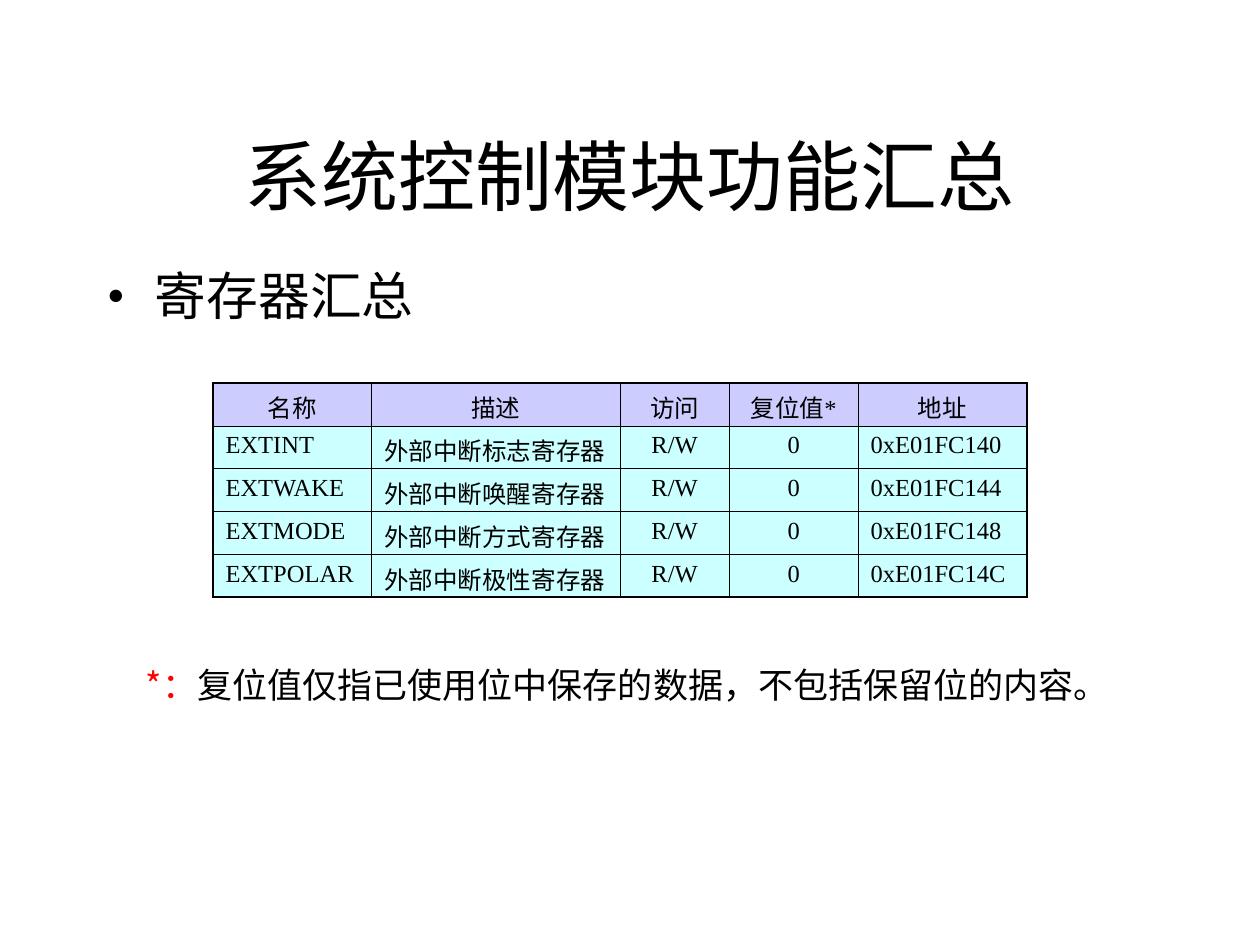
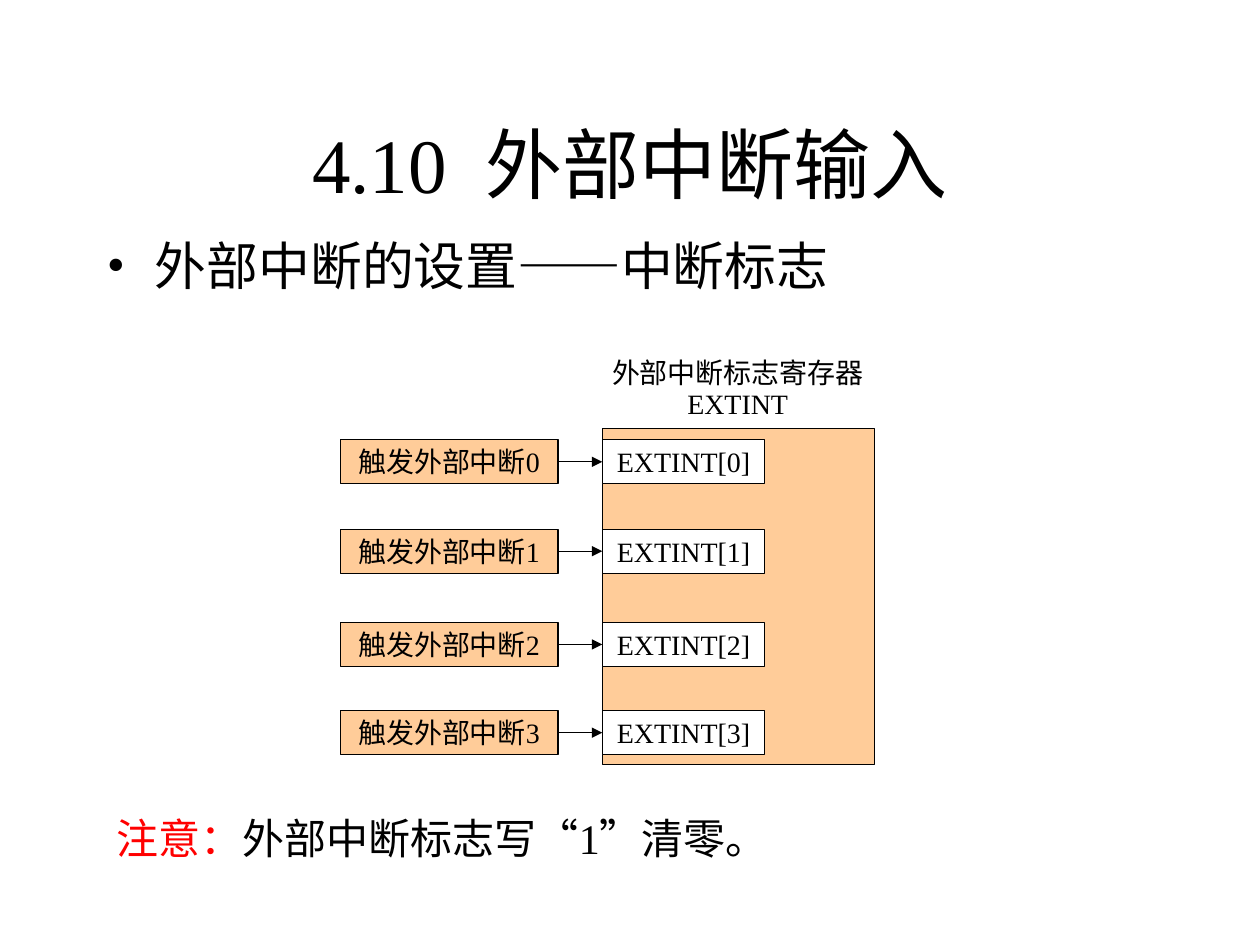
from typing import NamedTuple

from lxml import etree
from pptx import Presentation
from pptx.dml.color import RGBColor
from pptx.enum.shapes import MSO_CONNECTOR, MSO_SHAPE
from pptx.enum.text import MSO_ANCHOR, MSO_AUTO_SIZE, PP_ALIGN
from pptx.oxml.ns import qn
from pptx.util import Pt

LEFT, CENTER = PP_ALIGN.LEFT, PP_ALIGN.CENTER
TOP, MIDDLE = MSO_ANCHOR.TOP, MSO_ANCHOR.MIDDLE
RECT, STRAIGHT = MSO_SHAPE.RECTANGLE, MSO_CONNECTOR.STRAIGHT
LEFT_SIDE, RIGHT_SIDE = 1, 3
TITLE_ONLY = 5

EMU_PER_PX = 9144  # 100 px to the inch
SERIF, CJK = "Times New Roman", "Noto Sans CJK JP"
COLORS = {
    "ink": "000000",
    "alert": "FF0000",
    "paper": "FFFFFF",
    "header": "CCCCFF",
    "body": "CCFFFF",
    "orange": "FFCC99",
}
THIN, THICK, OUTLINE = 0.45, 1.08, 0.75


class Box(NamedTuple):
    left: int
    top: int
    width: int
    height: int


class Run(NamedTuple):
    text: str
    color: str = "ink"
    spacing: int = 0  # extra points after each character


class Column(NamedTuple):
    heading: str
    width: int
    align: PP_ALIGN


COLUMNS = [
    Column("名称", 126, LEFT),
    Column("描述", 197, LEFT),
    Column("访问", 87, CENTER),
    Column("复位值*", 102, CENTER),
    Column("地址", 134, LEFT),
]
REGISTERS = [
    ("EXTINT", "外部中断标志寄存器", "R/W", "0", "0xE01FC140"),
    ("EXTWAKE", "外部中断唤醒寄存器", "R/W", "0", "0xE01FC144"),
    ("EXTMODE", "外部中断方式寄存器", "R/W", "0", "0xE01FC148"),
    ("EXTPOLAR", "外部中断极性寄存器", "R/W", "0", "0xE01FC14C"),
]
ROW_HEIGHT = 34
FLAG_TOPS = [349, 420, 494, 564]


def px(value: int) -> int:
    return value * EMU_PER_PX


def emu(box: Box) -> list[int]:
    return [px(value) for value in box]


def rgb(name: str) -> RGBColor:
    return RGBColor.from_string(COLORS[name])


def write(tf, *lines, size=16, font=SERIF, align=LEFT, anchor=TOP, wrap=True,
          line_spacing=None, space_before=0, bullet=False):
    """Fill a text frame; each line is a string or a list of Runs."""
    tf.word_wrap = wrap
    tf.vertical_anchor = anchor
    for i, line in enumerate(lines):
        p = tf.paragraphs[0] if i == 0 else tf.add_paragraph()
        p.alignment = align
        p.space_before = Pt(space_before)
        if line_spacing:
            p.line_spacing = line_spacing
        if bullet:
            add_bullet(p)
        for run in [Run(line)] if isinstance(line, str) else line:
            r = p.add_run()
            r.text = run.text
            r.font.size = Pt(size)
            r.font.name = font
            r.font.color.rgb = rgb(run.color)
            r_pr = r.font._element
            r_pr.set("lang", "zh-CN")
            if run.spacing:
                r_pr.set("spc", str(run.spacing * 100))
            etree.SubElement(r_pr, qn("a:ea"), typeface=CJK)


def add_bullet(p) -> None:
    p_pr = p._p.get_or_add_pPr()
    p_pr.set("marL", str(px(38)))
    p_pr.set("indent", str(-px(38)))
    etree.SubElement(p_pr, qn("a:buFont"), typeface=SERIF)
    etree.SubElement(p_pr, qn("a:buChar"), char="•")


def add_text(slide, box: Box, *lines, **style):
    tf = slide.shapes.add_textbox(*emu(box)).text_frame
    write(tf, *lines, **style)
    return tf


def add_titled_slide(prs, title, title_top: int, topic: str, topic_box: Box):
    slide = prs.slides.add_slide(prs.slide_layouts[TITLE_ONLY])
    sp = slide.shapes.title
    sp.left, sp.top, sp.width, sp.height = emu(Box(75, title_top, 850, 125))
    sp.text_frame.auto_size = MSO_AUTO_SIZE.NONE
    write(sp.text_frame, title, size=44, align=CENTER, anchor=MIDDLE)
    add_text(slide, topic_box, topic, size=29.6, line_spacing=0.9,
             space_before=8, bullet=True)
    return slide


def add_rect(slide, box: Box, fill: str, label: str = ""):
    sp = slide.shapes.add_shape(RECT, *emu(box))
    sp.shadow.inherit = False
    sp.fill.solid()
    sp.fill.fore_color.rgb = rgb(fill)
    sp.line.color.rgb = rgb("ink")
    sp.line.width = Pt(OUTLINE)
    if label:
        write(sp.text_frame, label, align=CENTER, anchor=MIDDLE, wrap=False)
    return sp


def add_arrow(slide, source, target) -> None:
    """Join the right side of source to the left side of target."""
    line = slide.shapes.add_connector(STRAIGHT, 0, 0, 0, 0)
    line.begin_connect(source, RIGHT_SIDE)
    line.end_connect(target, LEFT_SIDE)
    line.line.color.rgb = rgb("ink")
    line.line.width = Pt(OUTLINE)
    etree.SubElement(line.line._get_or_add_ln(), qn("a:tailEnd"), type="triangle")
    etree.SubElement(line._element.spPr, qn("a:effectLst"))


def set_borders(cell, widths: dict[str, float]) -> None:
    """Draw cell borders; widths are keyed by side in the order L, R, T, B."""
    tc_pr = cell._tc.get_or_add_tcPr()
    for i, (side, width) in enumerate(widths.items()):
        ln = etree.Element(qn(f"a:ln{side}"), w=str(Pt(width)))
        fill = etree.SubElement(ln, qn("a:solidFill"))
        etree.SubElement(fill, qn("a:srgbClr"), val=COLORS["ink"])
        tc_pr.insert(i, ln)


def add_register_table(slide, left: int, top: int) -> None:
    rows = [tuple(column.heading for column in COLUMNS), *REGISTERS]
    box = Box(left, top, sum(c.width for c in COLUMNS), ROW_HEIGHT * len(rows))
    table = slide.shapes.add_table(len(rows), len(COLUMNS), *emu(box)).table
    table.first_row = table.horz_banding = False
    last_row, last_col = len(rows) - 1, len(COLUMNS) - 1
    for j, column in enumerate(COLUMNS):
        table.columns[j].width = px(column.width)
    for i, values in enumerate(rows):
        table.rows[i].height = px(ROW_HEIGHT)
        for j, value in enumerate(values):
            cell = table.cell(i, j)
            cell.margin_bottom = 0
            cell.fill.solid()
            cell.fill.fore_color.rgb = rgb("body" if i else "header")
            write(cell.text_frame, value, size=14,
                  align=COLUMNS[j].align if i else CENTER)
            set_borders(cell, {
                "L": THICK if j == 0 else THIN,
                "R": THICK if j == last_col else THIN,
                "T": THICK if i == 0 else THIN,
                "B": THICK if i == last_row else THIN,
            })


def build_register_summary(prs) -> None:
    slide = add_titled_slide(prs, "系统控制模块功能汇总", 76,
                             "寄存器汇总", Box(75, 210, 346, 63))
    add_register_table(slide, 169, 304)
    note = [Run("*：", "alert"),
            Run("复位值仅指已使用位中保存的数据，不包括保留位的内容。")]
    add_text(slide, Box(106, 527, 780, 76), note, size=20, font=CJK,
             line_spacing=0.83)


def build_interrupt_flags(prs) -> None:
    title = [Run("4.10"), Run(" ", spacing=11), Run("外部中断输入")]
    slide = add_titled_slide(prs, title, 67, "外部中断的设置——中断标志",
                             Box(75, 186, 842, 63))
    add_rect(slide, Box(478, 340, 216, 267), "orange")
    for i, top in enumerate(FLAG_TOPS):
        flag = add_rect(slide, Box(478, top, 129, 35), "paper", f"EXTINT[{i}]")
        trigger = add_rect(slide, Box(270, top, 173, 35), "orange",
                           f"触发外部中断{i}")
        add_arrow(slide, trigger, flag)
    add_text(slide, Box(472, 280, 227, 64), "外部中断标志寄存器", "EXTINT",
             align=CENTER, line_spacing=0.92)
    warning = [Run("注意：", "alert"), Run("外部中断标志写“1”清零。")]
    add_text(slide, Box(75, 640, 552, 50), warning, size=24, align=CENTER,
             wrap=False)


def main() -> None:
    prs = Presentation()
    prs.slide_width, prs.slide_height = px(1000), px(750)
    build_register_summary(prs)
    build_interrupt_flags(prs)
    prs.save("out.pptx")


if __name__ == "__main__":
    main()
